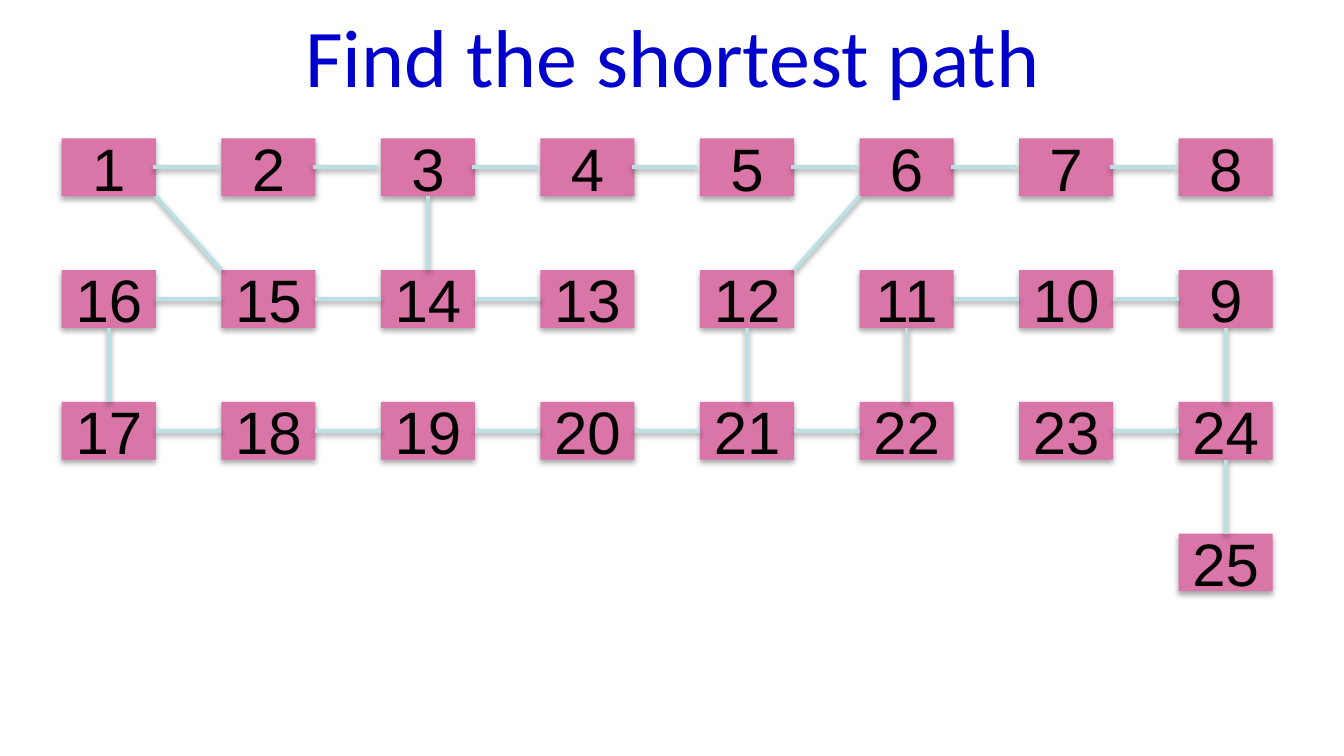
"""Build a slide of numbered boxes joined by links, for a shortest path task."""
from dataclasses import dataclass
from itertools import pairwise

from pptx import Presentation
from pptx.dml.color import RGBColor
from pptx.enum.shapes import MSO_CONNECTOR as Link, MSO_SHAPE as Form
from pptx.enum.text import MSO_ANCHOR as Anchor, PP_ALIGN as Align
from pptx.oxml import parse_xml
from pptx.oxml.ns import nsdecls
from pptx.util import Inches, Pt

WIDE, HIGH = 0.7, 0.43
COLS, COUNT = 8, 25
LEFT, RIGHT, TOP = 0.46, 8.77, 1.03
STEP, DROP = (RIGHT - LEFT) / (COLS - 1), 0.98
NUDGE = 0.02
BREAKS = {(8, 9), (11, 12), (12, 13), (22, 23)}
JUMPS = [(1, 15), (6, 12), (3, 14), (12, 21), (11, 22), (9, 24)]
FRAME = {
    "word_wrap": True,
    "vertical_anchor": Anchor.MIDDLE,
    "margin_left": Inches(0.09),
    "margin_right": Inches(0.09),
    "margin_top": Inches(0.04),
    "margin_bottom": Inches(0.04),
}


@dataclass(frozen=True)
class Node:
    num: int
    row: int
    col: int

    @property
    def mid(self) -> tuple[float, float]:
        return (LEFT + self.col * STEP + WIDE / 2,
                TOP + self.row * DROP + HIGH / 2)


@dataclass(frozen=True)
class Shade:
    alpha: int
    blur: float
    dist: float


BOX_SHADE = Shade(35, 3.1, 1.8)
LINE_SHADE = Shade(38, 3.1, 1.6)


def color(code: str) -> RGBColor:
    return RGBColor.from_string(code)


def place(num: int) -> Node:
    row, col = divmod(num - 1, COLS)
    return Node(num, row, COLS - 1 - col if row % 2 else col)


def sign(gap: int) -> int:
    return (gap > 0) - (gap < 0)


def cast(item, shade: Shade) -> None:
    item._element.spPr.append(parse_xml(
        f'<a:effectLst {nsdecls("a")}>'
        f'<a:outerShdw blurRad="{Pt(shade.blur)}" dist="{Pt(shade.dist)}" '
        'dir="5400000" rotWithShape="0"><a:srgbClr val="000000">'
        f'<a:alpha val="{shade.alpha * 1000}"/></a:srgbClr>'
        '</a:outerShdw></a:effectLst>'))


def write(item, text: str, size: float, face: str, ink: str) -> None:
    frame = item.text_frame
    for name, value in FRAME.items():
        setattr(frame, name, value)
    para = frame.paragraphs[0]
    para.alignment = Align.CENTER
    run = para.add_run()
    run.text = text
    style = {"size": Pt(size), "name": face}
    for name, value in style.items():
        setattr(run.font, name, value)
    run.font.color.rgb = color(ink)


def draw_node(slide, node: Node) -> None:
    x, y = node.mid
    box = slide.shapes.add_shape(
        Form.RECTANGLE, Inches(x - WIDE / 2), Inches(y - HIGH / 2),
        Inches(WIDE), Inches(HIGH))
    box.fill.solid()
    box.fill.fore_color.rgb = color("D975A7")
    box.line.fill.background()
    cast(box, BOX_SHADE)
    write(box, str(node.num), 32.1, "Arial", "000000")


def draw_link(slide, start: Node, end: Node) -> None:
    across = sign(end.col - start.col) * WIDE / 2
    down = sign(end.row - start.row) * HIGH / 2
    shift = NUDGE if start.row == end.row == 0 else 0
    (x1, y1), (x2, y2) = start.mid, end.mid
    ends = (x1 + across - shift, y1 + down, x2 - across - shift, y2 - down)
    line = slide.shapes.add_connector(Link.STRAIGHT, *map(Inches, ends))
    line.line.color.rgb = color("BBE0E3")
    line.line.width = Pt(2)
    cast(line, LINE_SHADE)


def main() -> None:
    deck = Presentation()
    deck.slide_width, deck.slide_height = Inches(10), Inches(10 * 9 / 16)
    slide = deck.slides.add_slide(deck.slide_layouts[6])
    nodes = {num: place(num) for num in range(1, COUNT + 1)}
    nodes[COUNT] = Node(COUNT, 3, COLS - 1)
    for node in nodes.values():
        draw_node(slide, node)
    steps = [pair for pair in pairwise(nodes) if pair not in BREAKS]
    for start, end in steps + JUMPS:
        draw_link(slide, nodes[start], nodes[end])
    title = slide.shapes.add_textbox(
        Inches(0.98), Inches(-0.3), Inches(8.05), Inches(1.41))
    write(title, "Find the shortest path", 43.9, "Calibri", "0000CC")
    deck.save("out.pptx")


if __name__ == "__main__":
    main()
